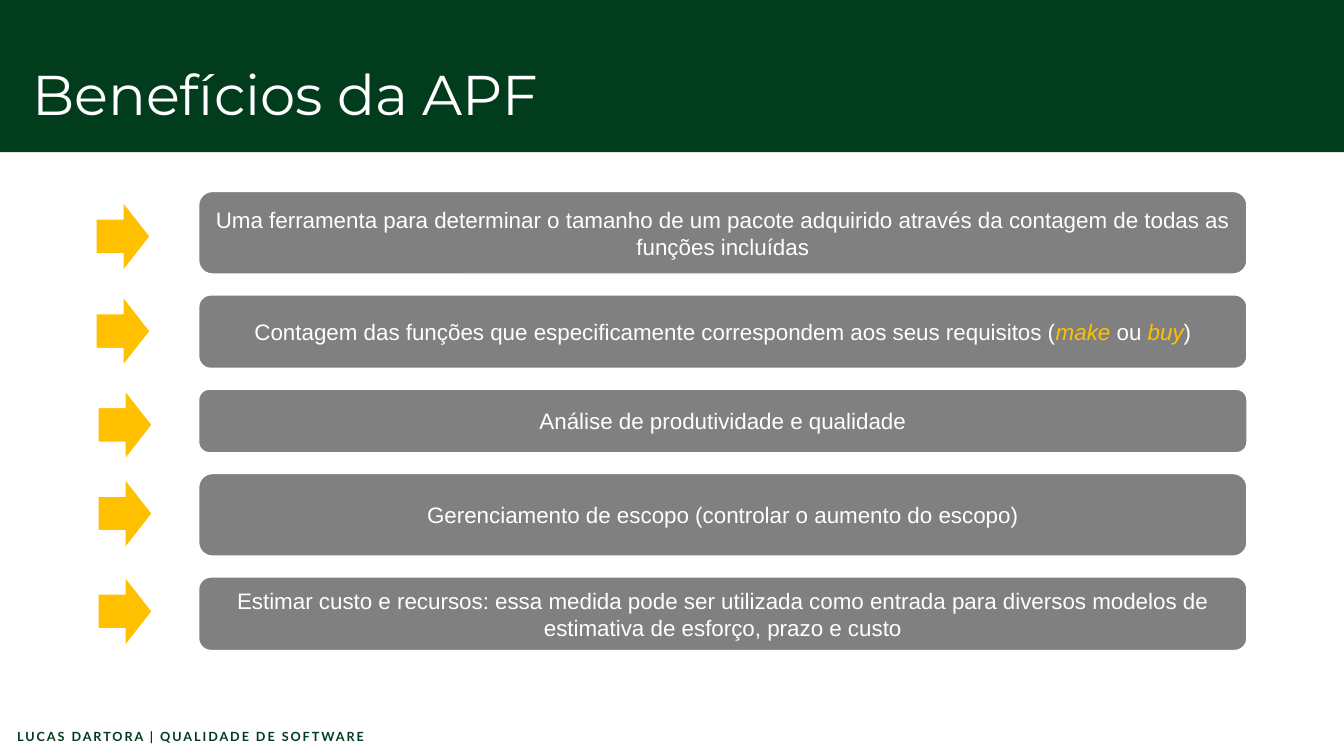
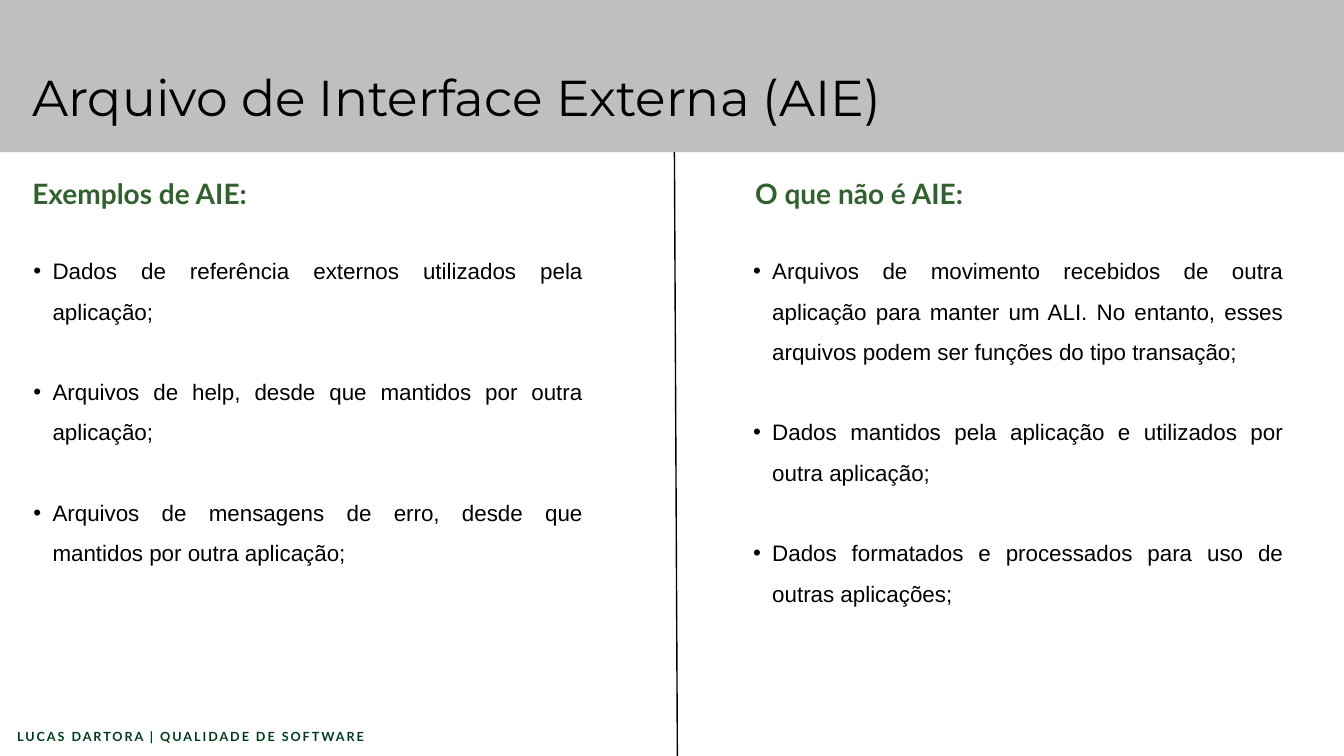
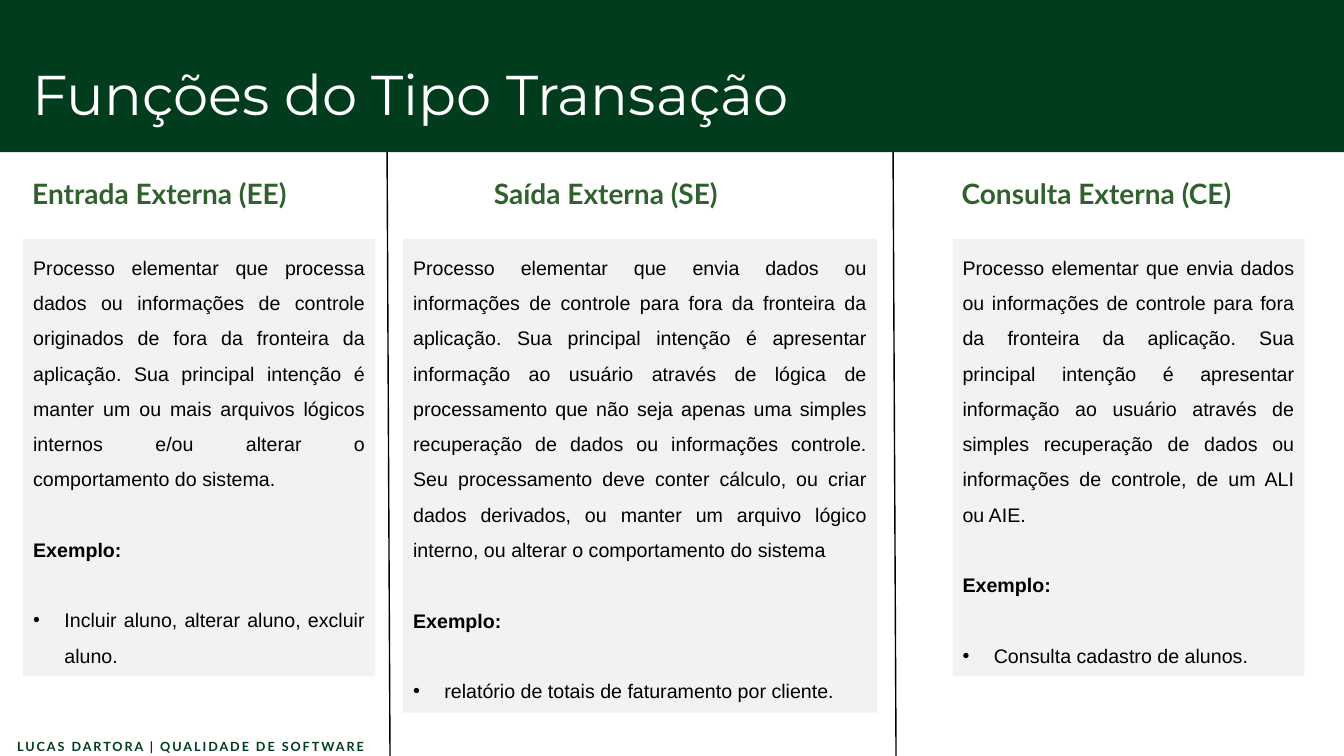
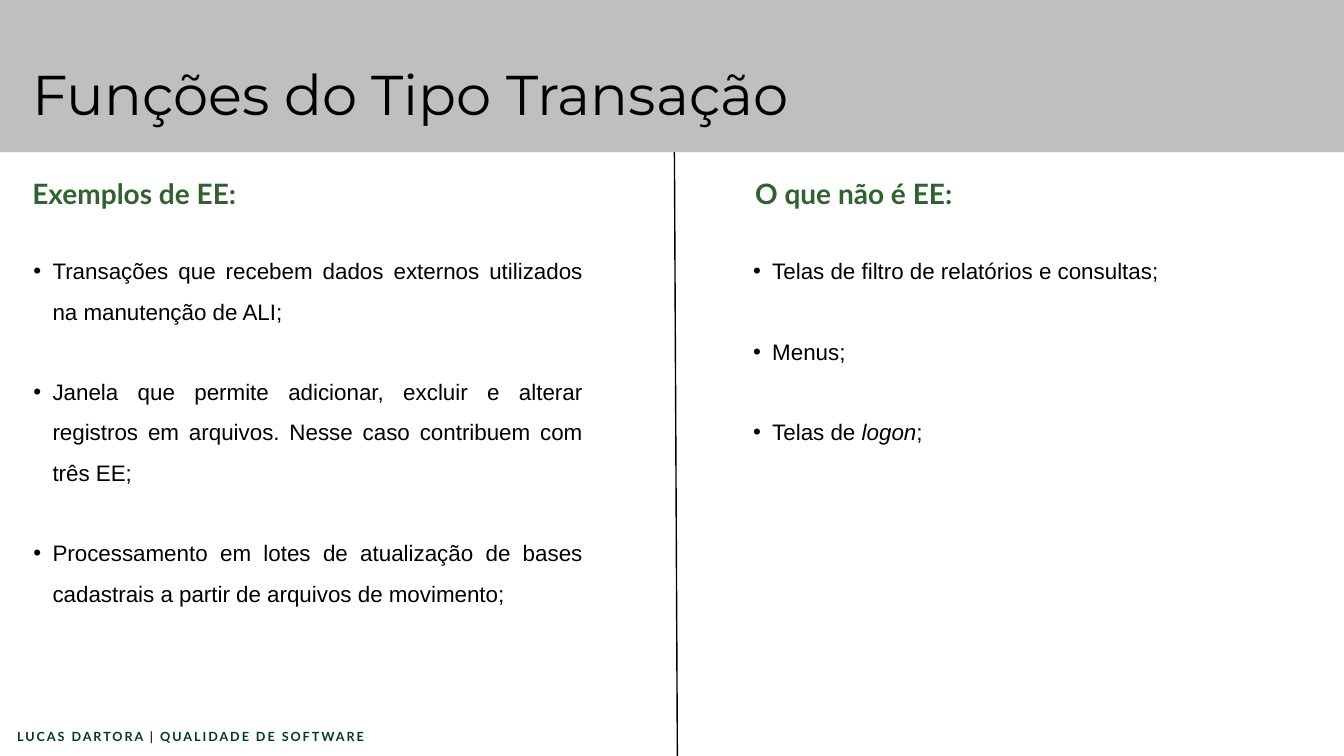
from lxml import etree
from pptx import Presentation
from pptx.dml.color import RGBColor
from pptx.enum.shapes import MSO_CONNECTOR, MSO_SHAPE
from pptx.enum.text import MSO_ANCHOR, MSO_AUTO_SIZE, PP_ALIGN
from pptx.oxml.ns import qn
from pptx.util import Inches, Pt

RECT, ROUND, ARROW = MSO_SHAPE.RECTANGLE, MSO_SHAPE.ROUNDED_RECTANGLE, MSO_SHAPE.RIGHT_ARROW
LEFT, CENTER, JUSTIFY = PP_ALIGN.LEFT, PP_ALIGN.CENTER, PP_ALIGN.JUSTIFY
TOP, MIDDLE = MSO_ANCHOR.TOP, MSO_ANCHOR.MIDDLE
GROW, FIXED = MSO_AUTO_SIZE.SHAPE_TO_FIT_TEXT, MSO_AUTO_SIZE.NONE

COLORS = {name: RGBColor.from_string(value) for name, value in {
    "green": "013C1C", "leaf": "326130", "silver": "BFBFBF", "gray": "808080",
    "pale": "F2F2F2", "amber": "FFC000", "white": "FFFFFF", "black": "000000"}.items()}
# "gap" is the space between paragraphs, "strong" the format of words between asterisks
THEME = {
    "title": dict(font="Montserrat", size=40, color="white", line=Pt(95.5), anchor=MIDDLE, margin=0),
    "heading": dict(font="Lato", size=20, color="leaf", bold=True, line=Pt(20.8), margin=0),
    "footer": dict(font="Lato", size=9, color="green", bold=True, line=Pt(16.8), margin=0, track=140),
    "bar": dict(font="Arial", size=16, color="white", align=CENTER, anchor=MIDDLE, fit=FIXED,
                strong=dict(italic=True), strong_color="amber"),
    "list": dict(font="Arial", size=16, color="black", align=JUSTIFY, line=1.5, gap=28.8,
                 indent=0.19, strong=dict(italic=True)),
    "card": dict(font="Arial", size=14, color="black", align=JUSTIFY, line=1.5, gap=25.2,
                 indent=0.31, strong=dict(bold=True)),
}

prs = Presentation()
prs.slide_width, prs.slide_height = Inches(13.33), Inches(7.5)
COL, ROW = prs.slide_width / 100, prs.slide_height / 100
COMPARISON, TITLE_ONLY = prs.slide_layouts[4], prs.slide_layouts[5]
BAND_H, HEAD_Y, HEAD_W, HEAD_H, BODY_Y = 20.13, 24, 28, 3.87, 31.6


def grid(x, y, w, h):
    """Turn columns and rows (hundredths of the slide) into lengths."""
    return [int(x * COL), int(y * ROW), int(w * COL), int(h * ROW)]


def write(sp, box, paragraphs, style, **changes):
    """Place a shape and set its paragraphs; a leading • makes a list item."""
    st = {**THEME[style], **changes}
    sp.left, sp.top, sp.width, sp.height = grid(*box)
    tf = sp.text_frame
    frame = dict(word_wrap=True, auto_size=st.get("fit", GROW), vertical_anchor=st.get("anchor", TOP))
    if "margin" in st:
        frame.update({f"margin_{side}": st["margin"] for side in ("left", "top", "right", "bottom")})
    for name, value in frame.items():
        setattr(tf, name, value)
    for i, text in enumerate(paragraphs):
        p = tf.add_paragraph() if i else tf.paragraphs[0]
        spacing = dict(alignment=st.get("align", LEFT), line_spacing=st.get("line", 1.0),
                       space_before=Pt(st.get("gap", 0) if i else 0), space_after=Pt(0))
        for name, value in spacing.items():
            setattr(p, name, value)
        if text.startswith("•"):
            pPr, indent = p._p.get_or_add_pPr(), Inches(st["indent"])
            pPr.set("marL", str(indent))
            pPr.set("indent", str(-indent))
            etree.SubElement(pPr, qn("a:buFont")).set("typeface", "Arial")
            etree.SubElement(pPr, qn("a:buChar")).set("char", "•")
        for j, part in enumerate(text.removeprefix("•").split("*")):
            if not part:
                continue
            r = p.add_run()
            r.text = part
            strong = j % 2
            font = dict(name=st["font"], size=Pt(st["size"]), bold=st.get("bold", False), italic=False)
            font.update(st.get("strong", {}) if strong else {})
            for name, value in font.items():
                setattr(r.font, name, value)
            color = st.get("strong_color", st["color"]) if strong else st["color"]
            r.font.color.rgb = COLORS[color]
            if "track" in st:
                r._r.get_or_add_rPr().set("spc", str(st["track"]))


# Title, band, footer and dividers of every slide
slides = []
for title, layout, dark, size, footer_y, dividers in [
    ("Benefícios da APF", TITLE_ONLY, True, 40, 95.33, []),
    ("Arquivo de Interface Externa (AIE)", COMPARISON, False, 36, 95.33, [50.18]),
    ("Funções do Tipo Transação", TITLE_ONLY, True, 40, 96.67, [28.8, 66.45]),
    ("Funções do Tipo Transação", COMPARISON, False, 40, 95.33, [50.18]),
]:
    s = prs.slides.add_slide(layout)
    slides.append(s)
    band = s.shapes.add_shape(RECT, *grid(0, 0, 100, BAND_H))
    band.shadow.inherit = False
    band.fill.solid()
    band.fill.fore_color.rgb = COLORS["green" if dark else "silver"]
    band.line.fill.background()
    s.shapes._spTree.insert(2, band._element)  # behind the title
    write(s.shapes.title, (2.4, 0.13, 78, 15.47), [title], "title",
          size=size, color="white" if dark else "black")
    footer = s.shapes.add_textbox(0, 0, 0, 0)
    write(footer, (1.28, footer_y, 56.63, 3.2), ["LUCAS DARTORA | QUALIDADE DE SOFTWARE"], "footer")
    for x in dividers:
        left, top, lean, drop = grid(x, BAND_H, 0.22, 100 - BAND_H)
        divider = s.shapes.add_connector(MSO_CONNECTOR.STRAIGHT, left, top, left + lean, top + drop)
        divider.line.color.rgb = COLORS["black"]
        divider.line.width = Pt(1)
        etree.SubElement(divider._element.spPr, qn("a:effectLst"))

# Slide 1: benefits, each a bar with an arrow
s, y = slides[0], 25.33
for height, arrow_x, arrow_y, text in [
    (10.93, 7.13, 26.67, "Uma ferramenta para determinar o tamanho de um pacote adquirido através da "
                         "contagem de todas as funções incluídas"),
    (9.73, 7.13, 39.2, "Contagem das funções que especificamente correspondem aos seus requisitos "
                       "(*make *ou *buy*)"),
    (8.4, 7.28, 51.6, "Análise de produtividade e qualidade"),
    (10.93, 7.28, 63.33, "Gerenciamento de escopo (controlar o aumento do escopo)"),
    (9.73, 7.28, 76.27, "Estimar custo e recursos: essa medida pode ser utilizada como entrada para "
                        "diversos modelos de estimativa de esforço, prazo e custo"),
]:
    bar_box = (14.78, y, 78, height)
    bar = s.shapes.add_shape(ROUND, *grid(*bar_box))
    arrow = s.shapes.add_shape(ARROW, *grid(arrow_x, arrow_y, 4.05, 9.2))
    for sp, color in ((bar, "gray"), (arrow, "amber")):
        sp.shadow.inherit = False
        sp.fill.solid()
        sp.fill.fore_color.rgb = COLORS[color]
        sp.line.color.rgb = COLORS["white"]
        sp.line.width = Pt(1)
    write(bar, bar_box, [text], "bar")
    y += height + 2.75

# Slides 2 and 4: what counts and what does not, side by side
for s, sides in [
    (slides[1], [
        ("Exemplos de AIE:", 44.4, [
            "•Dados de referência externos utilizados pela aplicação;",
            "•Arquivos de help, desde que mantidos por outra aplicação;",
            "•Arquivos de mensagens de erro, desde que mantidos por outra aplicação;"]),
        ("O que não é AIE:", 49.87, [
            "•Arquivos de movimento recebidos de outra aplicação para manter um ALI. No entanto, "
            "esses arquivos podem ser funções do tipo transação;",
            "•Dados mantidos pela aplicação e utilizados por outra aplicação;",
            "•Dados formatados e processados para uso de outras aplicações;"])]),
    (slides[3], [
        ("Exemplos de EE:", 49.87, [
            "•Transações que recebem dados externos utilizados na manutenção de ALI;",
            "•Janela que permite adicionar, excluir e alterar registros em arquivos. Nesse caso "
            "contribuem com três EE;",
            "•Processamento em lotes de atualização de bases cadastrais a partir de arquivos de "
            "movimento;"]),
        ("O que não é EE:", 28.27, [
            "•Telas de filtro de relatórios e consultas;",
            "•Menus;",
            "•Telas de *logon*;"])]),
]:
    holders = {ph.placeholder_format.idx: ph for ph in s.placeholders}
    places = [(1, 2.4, 1.73, 42.38), (3, 56.18, 55.28, 40.95)]
    for (idx, head_x, x, width), (heading, height, items) in zip(places, sides):
        write(holders[idx], (head_x, HEAD_Y, HEAD_W, HEAD_H), [heading], "heading")
        write(holders[idx + 1], (x, BODY_Y, width, height), items, "list")

# Slide 3: the three transaction types
s = slides[2]
for heading, head_x, x, width, height, text, example in [
    ("Entrada Externa (EE)", 2.4, 1.73, 26.18, 57.87,
     "Processo elementar que processa dados ou informações de controle originados de fora da "
     "fronteira da aplicação. Sua principal intenção é manter um ou mais arquivos lógicos internos "
     "e/ou alterar o comportamento do sistema.",
     "Incluir aluno, alterar aluno, excluir aluno."),
    ("Saída Externa (SE)", 36.75, 30, 35.25, 62.67,
     "Processo elementar que envia dados ou informações de controle para fora da fronteira da "
     "aplicação. Sua principal intenção é apresentar informação ao usuário através de lógica de "
     "processamento que não seja apenas uma simples recuperação de dados ou informações controle. "
     "Seu processamento deve conter cálculo, ou criar dados derivados, ou manter um arquivo lógico "
     "interno, ou alterar o comportamento do sistema",
     "relatório de totais de faturamento por cliente."),
    ("Consulta Externa (CE)", 71.55, 70.88, 26.18, 57.87,
     "Processo elementar que envia dados ou informações de controle para fora da fronteira da "
     "aplicação. Sua principal intenção é apresentar informação ao usuário através de simples "
     "recuperação de dados ou informações de controle, de um ALI ou AIE.",
     "Consulta cadastro de alunos."),
]:
    head = s.shapes.add_textbox(0, 0, 0, 0)
    write(head, (head_x, HEAD_Y, HEAD_W, HEAD_H), [heading], "heading")
    card = s.shapes.add_textbox(0, 0, 0, 0)
    card.fill.solid()
    card.fill.fore_color.rgb = COLORS["pale"]
    write(card, (x, BODY_Y, width, height), [text, "*Exemplo:*", "•" + example], "card")

prs.save("out.pptx")
